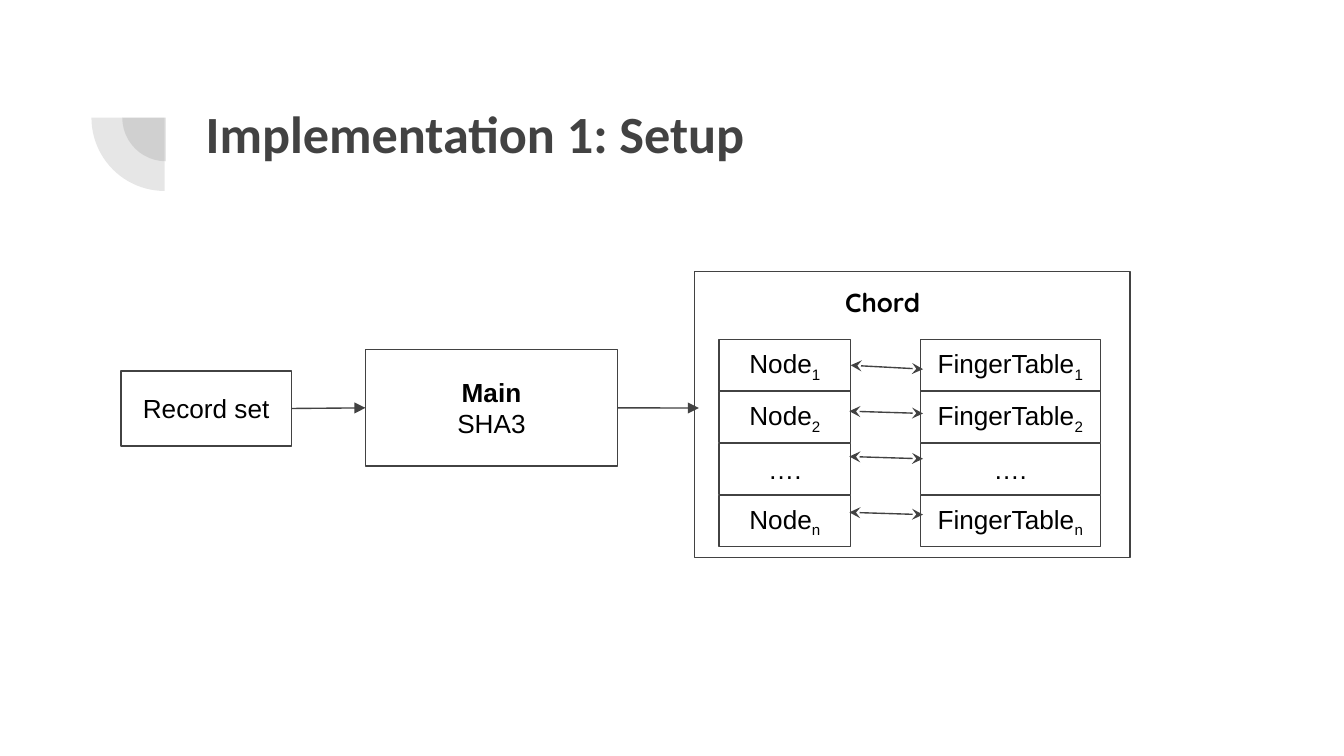
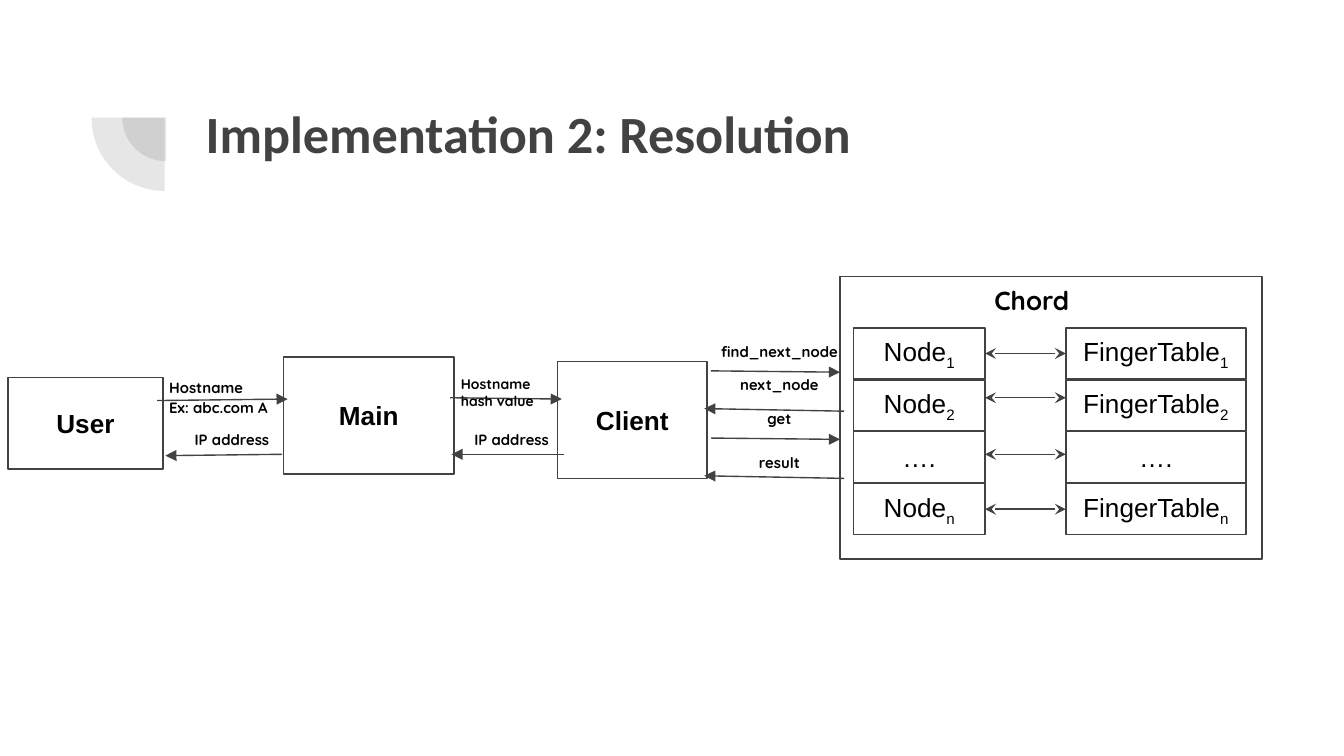
from lxml.etree import SubElement
from pptx import Presentation
from pptx.dml.color import RGBColor
from pptx.enum.shapes import MSO_CONNECTOR, MSO_SHAPE
from pptx.enum.text import MSO_ANCHOR, MSO_AUTO_SIZE, PP_ALIGN
from pptx.oxml.ns import qn
from pptx.util import Pt

GREY, BLACK = "424242", "000000"
PIES = [(65.5, 39.6, 46.8), (49, 23.8, 78.5)]
TITLE = (103, 46.8, 553.7, 78.5)
ROWS = ["1", "2", None, "n"]
STEP, ROW = 27.8, 27.4
NODE, TABLE = 70.5, 96.5

SETUP = {
    "title": "Implementation 1: Setup",
    "boxes": [
        (["Record set"], 0, (64.8, 198.7, 91.4, 40.3)),
        (["Main", "SHA3"], 1, (195.8, 187.2, 135, 62.6)),
    ],
    "chord": {
        "frame": (372.2, 145.4, 233.3, 153.4), "label": (445.7, 146.2),
        "cols": (385.2, 493), "top": 182,
        "ends": (455, 494.5), "rise": 1.2, "links": [196.6, 220.3, 244.6, 274.5],
    },
    "arrows": [(156.2, 218.85, 195.8, 218.5), (330.8, 218.5, 374.4, 218.6)],
    "notes": [],
}

SOLVE = {
    "title": "Implementation 2: Resolution",
    "boxes": [
        (["User"], 1, (4.3, 202.3, 83, 49)),
        (["Main"], 1, (151.9, 191.3, 91.4, 62.6)),
        (["Client"], 1, (298.8, 193.7, 79.9, 62.6)),
    ],
    "chord": {
        "frame": (450, 148.3, 226.1, 151.2), "label": (525.6, 145.4),
        "cols": (457.2, 571), "top": 175.7,
        "ends": (571, 527.7), "rise": 0, "links": [189.4, 213.1, 243.4, 273.6],
    },
    "arrows": [
        (84.2, 214.6, 154.1, 213.8), (241.2, 213.1, 301, 213.8),
        (302.4, 243.4, 241.9, 243.4), (151.2, 243.4, 88.6, 244.1),
        (380.9, 198.7, 450, 199.4), (452.2, 220.3, 377.3, 218.9),
        (380.9, 234.7, 450, 235.4), (452.2, 256.3, 377.3, 254.9),
    ],
    "notes": [
        (["find_next_node"], (377.6, 178.6, 80), 8, "c", 1),
        (["next_node"], (377.6, 196.6, 80), 8, "c", 1),
        (["get"], (377.6, 214.6, 80), 8, "c", 1),
        (["result"], (377.6, 238.3, 80), 8, "c", 1),
        (["Hostname", "Ex: abc.com A"], (83.5, 196.6, 74.9), 8, "l", 1.15),
        (["IP address"], (97.2, 226.1, 67.7), 8, "l", 1),
        (["Hostname hash value"], (239.8, 196.6, 67.7), 7.5, "l", 1),
        (["IP address"], (247, 226.1, 67.7), 8, "l", 1),
    ],
}

ALIGN = {"c": PP_ALIGN.CENTER, "l": PP_ALIGN.LEFT}


def tint(hue):
    return RGBColor.from_string(hue)


def pts(*nums):
    return [Pt(n) for n in nums]


def write(shape, lines, size, face, bold=0, align="l", mid=False, space=1, hue=BLACK):
    frame = shape.text_frame
    frame.text = "\n".join(lines)
    frame.word_wrap = True
    frame.auto_size = MSO_AUTO_SIZE.NONE
    frame.vertical_anchor = MSO_ANCHOR.MIDDLE if mid else MSO_ANCHOR.TOP
    frame.margin_left = frame.margin_right = Pt(7.2)
    frame.margin_top = frame.margin_bottom = Pt(7.2)
    for i, para in enumerate(frame.paragraphs):
        para.alignment = ALIGN[align]
        para.line_spacing = space
        font = para.font
        font.size, font.name = Pt(size), face
        font.bold = bool(bold and (i == 0 or not mid))
        font.color.rgb = tint(hue)


def note(slide, lines, at, size, align="l", space=1):
    box = slide.shapes.add_textbox(*pts(*at))
    write(box, lines, size, "Quicksand", 1, align, space=space)


def rect(slide, at, lines=(), bold=0):
    box = slide.shapes.add_shape(MSO_SHAPE.RECTANGLE, *pts(*at))
    box.shadow.inherit = False
    box.fill.background()
    box.line.color.rgb = tint(GREY)
    box.line.width = Pt(0.75)
    if lines:
        write(box, lines, 14, "Arial", bold, "c", True)
    return box


def cell(slide, at, name, sub):
    box = rect(slide, at, [name if sub else "…."])
    if sub:
        box.text_frame.paragraphs[0].add_run().text = sub
        run = box.element.xpath(".//a:r[2]")[0]
        run.get_or_add_rPr().set("baseline", "-25000")
    return box


def glue(join, x, y, boxes):
    for box in boxes:
        mid = box.top + box.height / 2
        for side, edge in ((1, box.left), (3, box.left + box.width)):
            if abs(edge - Pt(x)) < Pt(1) and abs(mid - Pt(y)) < Pt(1):
                join(box, side)
                return


def link(slide, ends, boxes, tips):
    line = slide.shapes.add_connector(MSO_CONNECTOR.STRAIGHT, *pts(*ends))
    line.line.color.rgb = tint(GREY)
    line.line.width = Pt(0.75)
    prop = line.element.spPr
    for tag, kind in tips.items():
        SubElement(prop.find(qn("a:ln")), qn(tag), type=kind)
    SubElement(prop, qn("a:effectLst"))
    glue(line.begin_connect, *ends[:2], boxes)
    glue(line.end_connect, *ends[2:], boxes)


def chord(slide, plan):
    rect(slide, plan["frame"])
    note(slide, ["Chord"], (*plan["label"], 62, 25), 14)
    cells = []
    for i, sub in enumerate(ROWS):
        y = plan["top"] + i * STEP
        for x, wide, name in zip(plan["cols"], (NODE, TABLE), ("Node", "FingerTable")):
            cells.append(cell(slide, (x, y, wide, ROW), name, sub))
    start, stop = plan["ends"]
    for y in plan["links"]:
        link(slide, (start, y, stop, y + plan["rise"]), cells,
             {"a:headEnd": "stealth", "a:tailEnd": "stealth"})


def base(deck, text):
    slide = deck.slides.add_slide(deck.slide_layouts[5])
    for x, y, size in PIES:
        pie = slide.shapes.add_shape(MSO_SHAPE.PIE, *pts(x, y, size, size))
        pie.adjustments[0], pie.adjustments[1] = 108, 162
        pie.rotation = 270
        pie.shadow.inherit = False
        pie.line.fill.background()
        pie.fill.solid()
        pie.fill.fore_color.rgb = tint(GREY)
        hue = pie.element.spPr.find(qn("a:solidFill"))[0]
        SubElement(hue, qn("a:alpha"), val="13000")
    title = slide.shapes.title
    title.left, title.top, title.width, title.height = pts(*TITLE)
    write(title, [text], 28, "Calibri", 1, hue=GREY)
    return slide


def draw(deck, plan):
    slide = base(deck, plan["title"])
    boxes = [rect(slide, at, lines, bold) for lines, bold, at in plan["boxes"]]
    chord(slide, plan["chord"])
    for ends in plan["arrows"]:
        link(slide, ends, boxes, {"a:tailEnd": "triangle"})
    for lines, at, size, align, space in plan["notes"]:
        note(slide, lines, (*at, 9.4), size, align, space)


def main():
    deck = Presentation()
    deck.slide_width, deck.slide_height = pts(720, 405)
    for plan in (SETUP, SOLVE):
        draw(deck, plan)
    deck.save("out.pptx")


if __name__ == "__main__":
    main()
